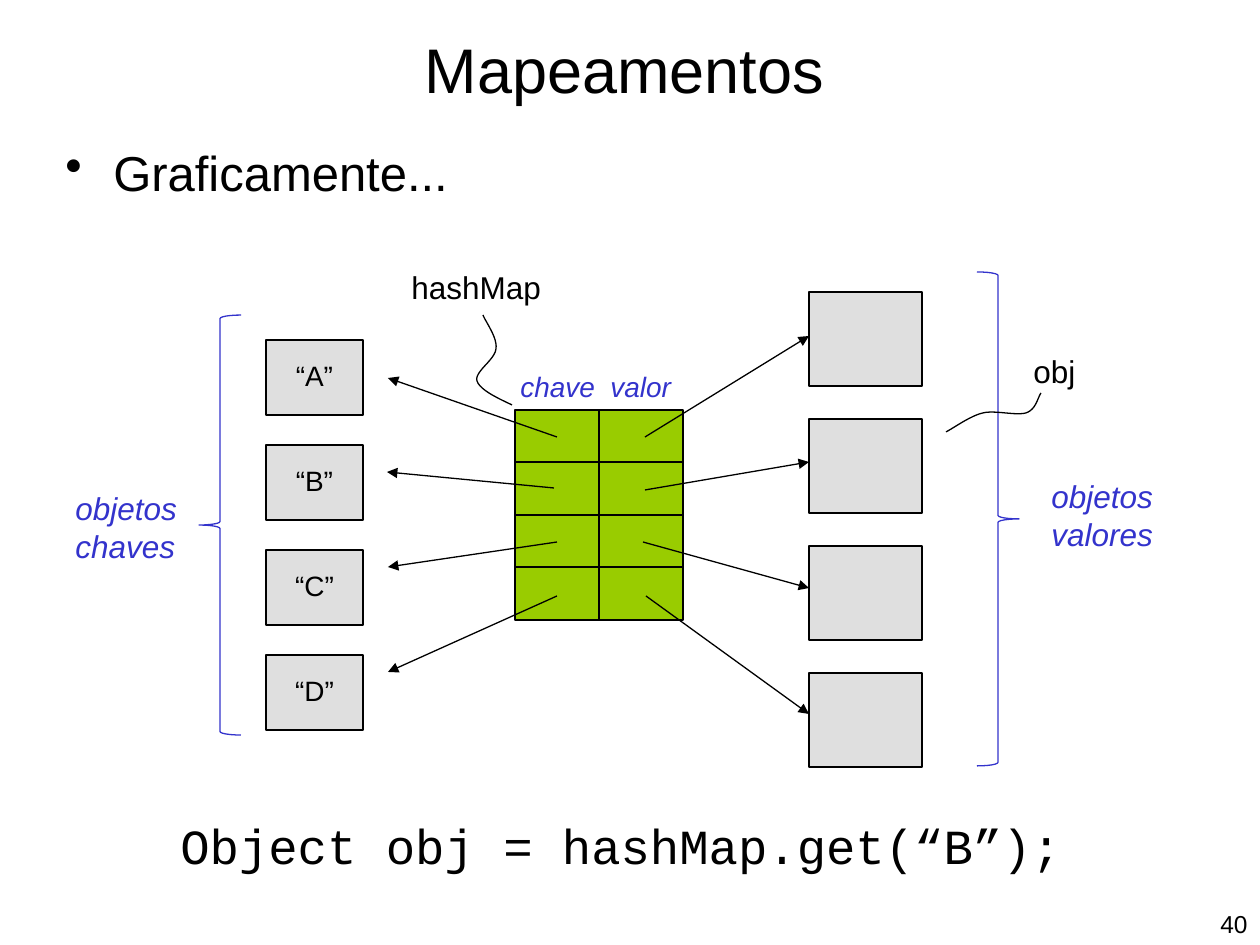
from lxml import etree
from pptx import Presentation
from pptx.dml.color import RGBColor
from pptx.enum.shapes import MSO_CONNECTOR, MSO_SHAPE
from pptx.enum.text import MSO_ANCHOR, PP_ALIGN
from pptx.oxml.ns import qn
from pptx.util import Pt

PX = 914400 / 126
RECT, BRACE = MSO_SHAPE.RECTANGLE, MSO_SHAPE.RIGHT_BRACE
STRAIGHT = MSO_CONNECTOR.STRAIGHT
LEFT, CENTER, RIGHT = PP_ALIGN.LEFT, PP_ALIGN.CENTER, PP_ALIGN.RIGHT
TOP, MIDDLE = MSO_ANCHOR.TOP, MSO_ANCHOR.MIDDLE
THEME = {
    "ink": RGBColor(0x00, 0x00, 0x00),
    "accent": RGBColor(0x33, 0x33, 0xCC),
    "cell": RGBColor(0x99, 0xCC, 0x00),
    "object": RGBColor(0xC0, 0xC0, 0xC0),
    "sans": "Arial",
    "mono": "Courier New",
    "title": Pt(36),
    "body": Pt(28),
    "label": Pt(18),
    "small": Pt(16),
    "number": Pt(14),
    "line": Pt(0.75),
}

prs = Presentation()
prs.slide_width, prs.slide_height = round(1260 * PX), round(945 * PX)
s = prs.slides.add_slide(prs.slide_layouts[6])


def add_shape(kind, box, line="ink", fill=None):
    sp = s.shapes.add_shape(kind, *[round(v * PX) for v in box])
    sp.shadow.inherit = False
    sp.line.color.rgb = THEME[line]
    sp.line.width = THEME["line"]
    if fill:
        sp.fill.solid()
        sp.fill.fore_color.rgb = THEME[fill]
    else:
        sp.fill.background()
    return sp


def set_text(sp, text, size, color="ink", align=LEFT, anchor=TOP, font="sans"):
    tf = sp.text_frame
    tf.word_wrap = True
    tf.vertical_anchor = anchor
    tf.text = text
    for p in tf.paragraphs:
        p.alignment = align
        for r in p.runs:
            r.font.name = THEME[font]
            r.font.size = THEME[size]
            r.font.color.rgb = THEME[color]
            r.font.italic = color == "accent"
    return tf.paragraphs[0]


for i, letter in enumerate("ABCD"):
    key = add_shape(RECT, (266, 340 + 105 * i, 97, 75), fill="object")
    p = set_text(key, f"“{letter}”", "small", align=CENTER, anchor=MIDDLE)
    p.line_spacing = 0.9
    value = add_shape(RECT, (809, 292 + 127 * i, 113, 94), fill="object")
    for sp in (key, value):
        color = sp.fill._xPr.find(qn("a:solidFill"))[0]
        etree.SubElement(color, qn("a:alpha"), val="50000")
    for col in range(2):
        add_shape(RECT, (515 + 84 * col, 410 + 210 * i // 4, 84, 53), fill="cell")

arrows = [
    (557, 437, 388, 378), (554, 488, 387, 472),
    (557, 542, 388, 567), (557, 596, 388, 672),
    (645, 437, 809, 336), (645, 490, 809, 462),
    (643, 542, 809, 588), (646, 596, 809, 714),
]
for ends in arrows:
    arrow = s.shapes.add_connector(STRAIGHT, *[round(v * PX) for v in ends])
    arrow.line.color.rgb = THEME["ink"]
    arrow.line.width = THEME["line"]
    etree.SubElement(arrow.line._get_or_add_ln(), qn("a:tailEnd"), type="triangle")
    etree.SubElement(arrow._element.spPr, qn("a:effectLst"))

for box, angle in [((199, 315, 42, 420), 180), ((977, 272, 42, 494), 0)]:
    brace = add_shape(BRACE, box, line="accent")
    brace.rotation = angle
    brace.adjustments[0] = 0.083

curves = [
    [(483, 315), (485, 321), (498, 338), (496, 349), (495, 360),
     (474, 372), (477, 381), (480, 391), (504, 401), (512, 405)],
    [(1041, 393), (1038, 397), (1036, 410), (1026, 413), (1016, 416),
     (995, 410), (983, 413), (970, 416), (954, 428), (946, 432)],
]
for curve in curves:
    points = []
    for n in range(0, len(curve) - 1, 3):
        for t in [step / 12 for step in range(1, 13)]:
            weights = ((1 - t) ** 3, 3 * t * (1 - t) ** 2, 3 * t * t * (1 - t), t ** 3)
            points.append([sum(w * pt[axis] for w, pt in zip(weights, curve[n:n + 4])) * PX
                           for axis in (0, 1)])
    builder = s.shapes.build_freeform(*[v * PX for v in curve[0]])
    builder.add_line_segments(points, close=False)
    sp = builder.convert_to_shape()
    sp.shadow.inherit = False
    sp.fill.background()
    sp.line.color.rgb = THEME["ink"]
    sp.line.width = THEME["line"]

texts = [
    ("Mapeamentos", (89, 21, 1071, 95), "title", "ink", CENTER, MIDDLE, "sans"),
    ("Graficamente...", (53, 136, 1134, 105), "body", "ink", LEFT, TOP, "sans"),
    ("hashMap", (399, 262, 158, 50), "label", "ink", LEFT, TOP, "sans"),
    ("obj", (1021, 346, 72, 50), "label", "ink", LEFT, TOP, "sans"),
    ("objetos\nchaves", (63, 483, 136, 88), "label", "accent", LEFT, TOP, "sans"),
    ("objetos\nvalores", (1039, 471, 132, 88), "label", "accent", LEFT, TOP, "sans"),
    ("chave\tvalor", (508, 363, 182, 47), "small", "accent", LEFT, TOP, "sans"),
    ("Object obj = hashMap.get(“B”);", (168, 809, 935, 105), "body", "ink", LEFT, TOP, "mono"),
    ("40", (966, 903, 294, 32), "number", "ink", RIGHT, TOP, "sans"),
]
for text, box, *style in texts:
    sp = s.shapes.add_textbox(*[round(v * PX) for v in box])
    p = set_text(sp, text, *style)
    pPr = p._p.get_or_add_pPr()
    if style[0] == "body":
        pPr.set("marL", str(round(48 * PX)))
        pPr.set("indent", str(round(-48 * PX)))
    if text == "Graficamente...":
        etree.SubElement(pPr, qn("a:buChar"), char="•")
    if "\t" in text:
        tabs = etree.SubElement(pPr, qn("a:tabLst"))
        etree.SubElement(tabs, qn("a:tab"), pos=str(round(90 * PX)), algn="l")

prs.save("out.pptx")
